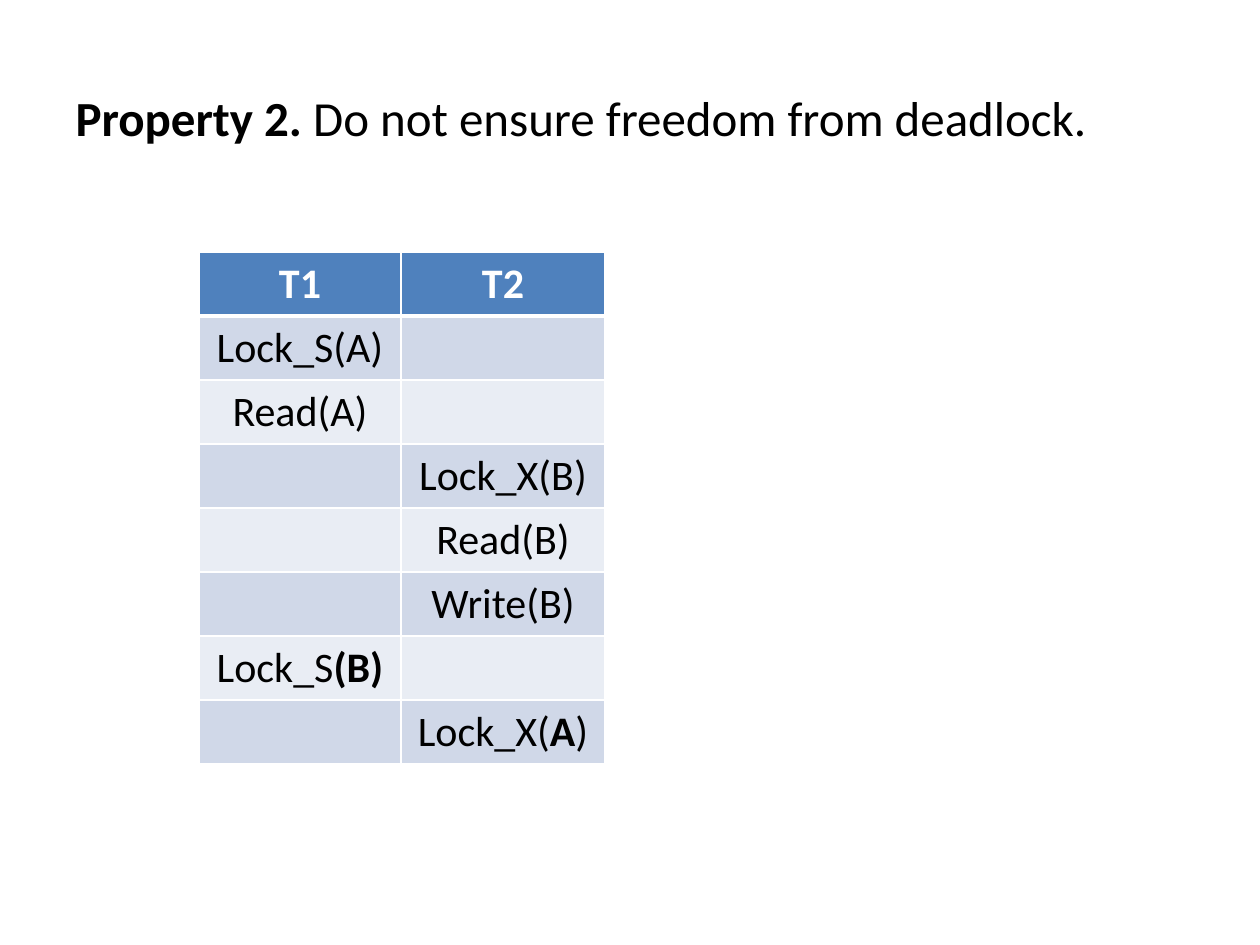
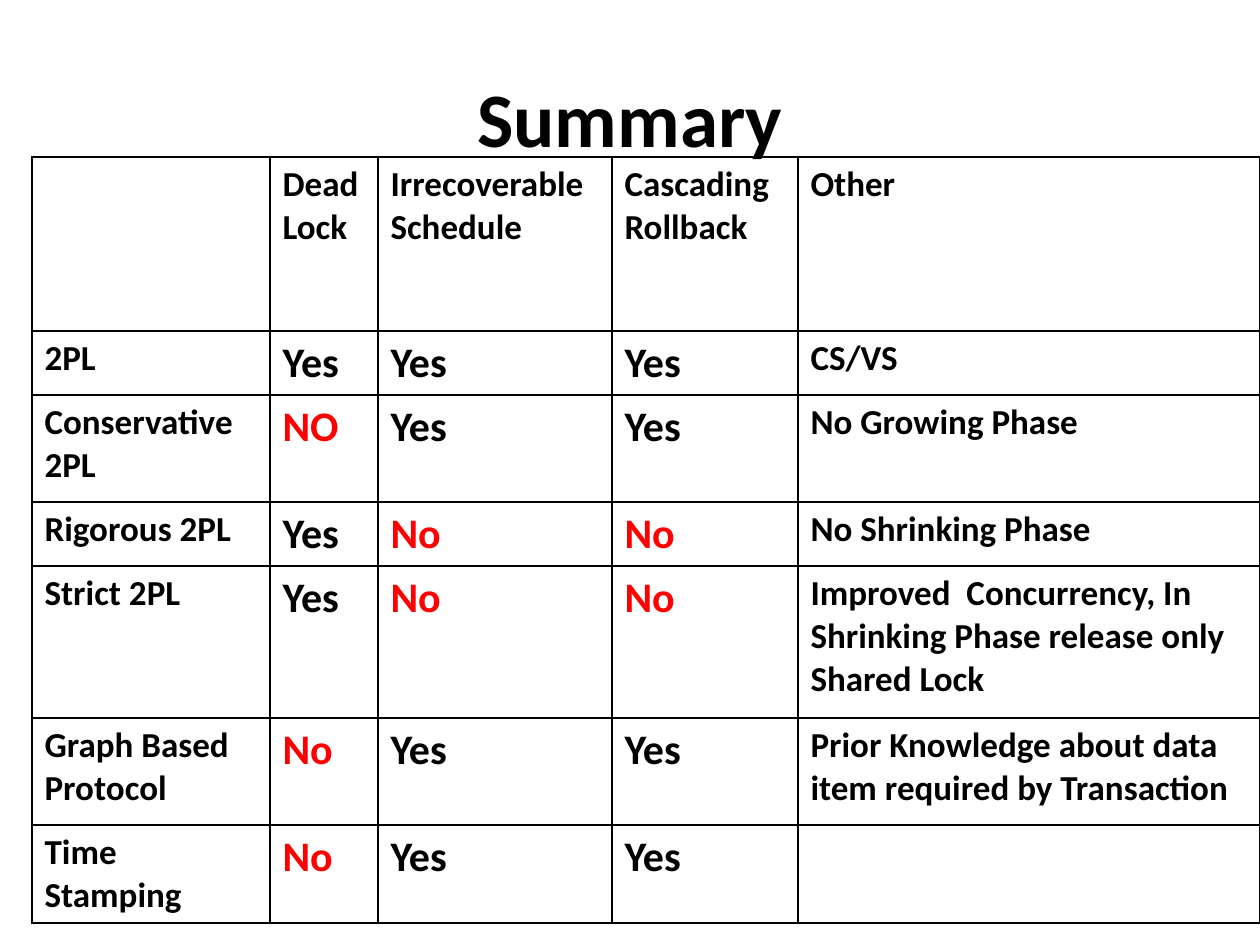
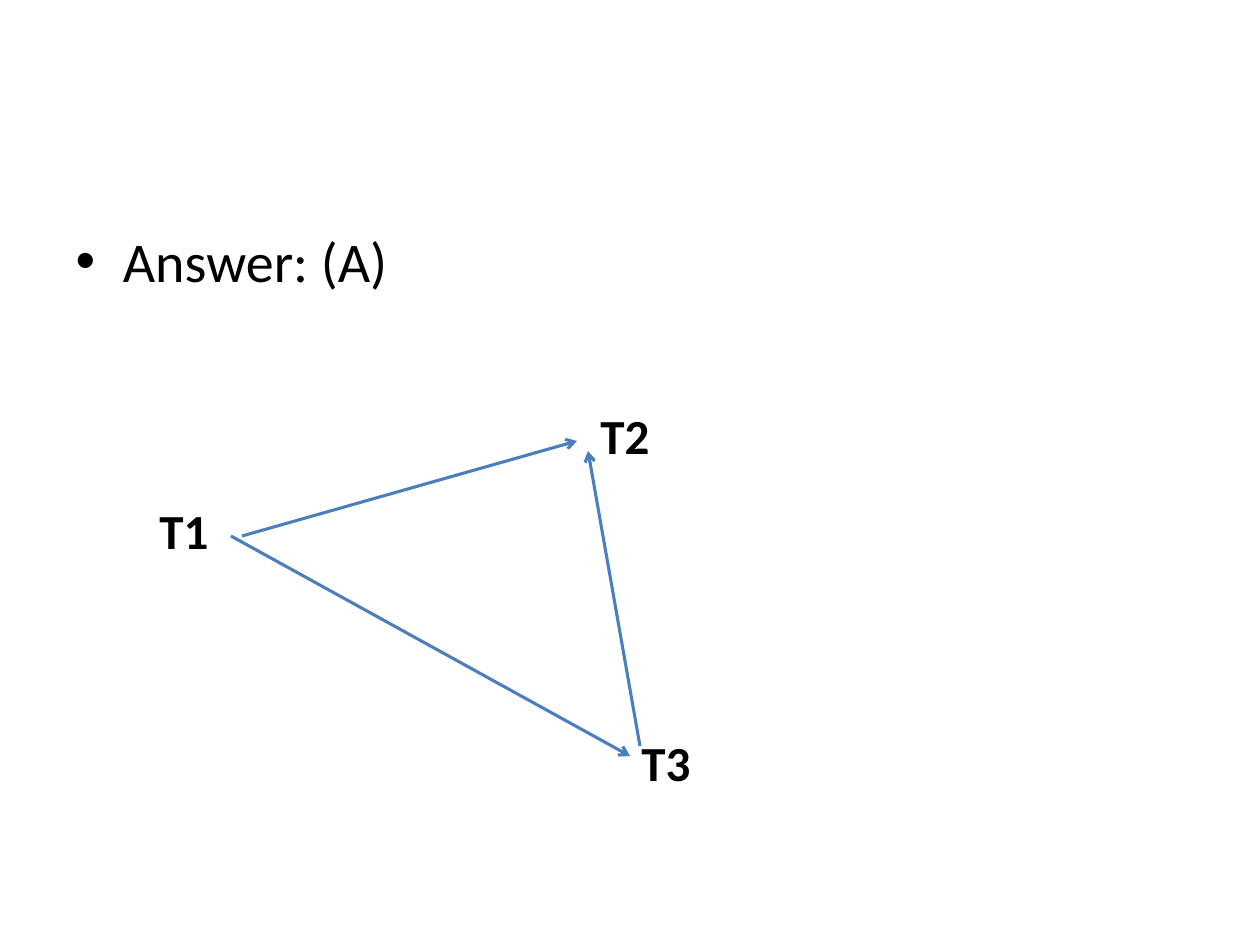
from dataclasses import dataclass
from lxml.etree import SubElement
from pptx import Presentation
from pptx.dml.color import RGBColor
from pptx.enum.shapes import MSO_CONNECTOR
from pptx.enum.text import MSO_ANCHOR, MSO_AUTO_SIZE, PP_ALIGN
from pptx.oxml import parse_xml
from pptx.oxml.ns import nsdecls, qn
from pptx.util import Emu, Pt


@dataclass(frozen=True)
class Theme:
    font: str = "Calibri"
    ink: str = "000000"
    paper: str = "FFFFFF"
    head: str = "4F81BD"
    bands: tuple = ("D0D8E8", "E9EDF4")
    alert: str = "FF0000"
    edge: str = "4B7EBC"
    title: int = 44
    body: int = 32
    label: int = 28
    cell: int = 24
    note: int = 20


THEME = Theme()
TITLE_BOX = (63, 38, 1134, 158)
BODY_BOX = (63, 220, 1134, 624)


def px(n):
    return Emu(round(n * 914400 / 126))


def place(shape, box):
    shape.left, shape.top, shape.width, shape.height = map(px, box)


def write(frame, text, size, color=THEME.ink, bold=False, align=None):
    """Fill the first paragraph; parts between asterisks are bold."""
    para = frame.paragraphs[0]
    para.alignment = align
    for i, part in enumerate(text.split("*")):
        if not part:
            continue
        run = para.add_run()
        run.text = part
        font = run.font
        font.name, font.size = THEME.font, Pt(size)
        font.bold = bold or i % 2 == 1
        font.color.rgb = RGBColor.from_string(color)


def add_title(deck, text, size, align):
    slide = deck.slides.add_slide(deck.slide_layouts[5])
    title = slide.shapes.title
    place(title, TITLE_BOX)
    title.text_frame.vertical_anchor = MSO_ANCHOR.MIDDLE
    write(title.text_frame, text, size, align=align)
    return slide


def add_grid(slide, left, top, cols, rows):
    box = map(px, (left, top, sum(cols), sum(rows)))
    table = slide.shapes.add_table(len(rows), len(cols), *box).table
    table.first_row = table.horz_banding = False
    for col, width in zip(table.columns, cols):
        col.width = px(width)
    for row, height in zip(table.rows, rows):
        row.height = px(height)
    return table


def rule(cell, color, top=1, bottom=1):
    """Draw the four borders, with widths in points."""
    props = cell._tc.get_or_add_tcPr()
    for i, (side, width) in enumerate(zip("LRTB", (1, 1, top, bottom))):
        props.insert(i, parse_xml(
            f'<a:ln{side} {nsdecls("a")} w="{Pt(width)}"><a:solidFill>'
            f'<a:srgbClr val="{color}"/></a:solidFill></a:ln{side}>'))


def add_locks(slide, left, top, data):
    table = add_grid(slide, left, top, (202, 204), [64] * len(data))
    for r, line in enumerate(data):
        fill = THEME.bands[(r - 1) % 2] if r else THEME.head
        color = THEME.ink if r else THEME.paper
        for c, text in enumerate(line):
            cell = table.cell(r, c)
            cell.fill.solid()
            cell.fill.fore_color.rgb = RGBColor.from_string(fill)
            rule(cell, THEME.paper, 3 if r == 1 else 1, 1 if r else 3)
            write(cell.text_frame, text, THEME.cell, color, r == 0, PP_ALIGN.CENTER)


def add_summary(slide, left, top, data):
    cols = (238, 108, 234, 186, 462)
    rows = (174, 64, 107, 64, 152, 107, 98)
    table = add_grid(slide, left, top, cols, rows)
    for r, line in enumerate(data):
        for c, text in enumerate(line):
            cell = table.cell(r, c)
            cell.fill.background()
            rule(cell, THEME.ink)
            word = text.lower()
            size = THEME.cell if word in ("yes", "no") else THEME.note
            color = THEME.alert if word == "no" else THEME.ink
            write(cell.text_frame, text, size, color, True)


def add_arrow(slide, start, end):
    line = slide.shapes.add_connector(
        MSO_CONNECTOR.STRAIGHT, *map(px, (*start, *end)))
    line.line.color.rgb = RGBColor.from_string(THEME.edge)
    line.line.width = Pt(1.75)
    SubElement(line.line._get_or_add_ln(), qn("a:tailEnd"), type="arrow")
    SubElement(line._element.spPr, qn("a:effectLst"))


def add_graph(slide, left, top, nodes, edges):
    def shift(spot):
        return left + spot[0], top + spot[1]

    for start, end in edges:
        add_arrow(slide, shift(start), shift(end))
    for name, spot in nodes.items():
        box = slide.shapes.add_textbox(*map(px, (*shift(spot), 76, 72)))
        box.text_frame.word_wrap = False
        box.text_frame.auto_size = MSO_AUTO_SIZE.SHAPE_TO_FIT_TEXT
        write(box.text_frame, name, THEME.label, bold=True)


def add_answer(deck, text):
    slide = deck.slides.add_slide(deck.slide_layouts[1])
    title = slide.shapes.title._element
    title.getparent().remove(title)
    body = slide.placeholders[1]
    place(body, BODY_BOX)
    write(body.text_frame, text, THEME.body)
    return slide


LOCKS = (
    ("T1", "T2"),
    ("Lock_S(A)", ""),
    ("Read(A)", ""),
    ("", "Lock_X(B)"),
    ("", "Read(B)"),
    ("", "Write(B)"),
    ("Lock_S*(B)*", ""),
    ("", "Lock_X(*A*)"),
)
SUMMARY = (
    ("", "Dead Lock", "Irrecoverable Schedule", "Cascading Rollback", "Other"),
    ("2PL", "Yes", "Yes", "Yes", "CS/VS"),
    ("Conservative 2PL", "NO", "Yes", "Yes", "No Growing Phase"),
    ("Rigorous 2PL", "Yes", "No", "No", "No Shrinking Phase"),
    ("Strict 2PL", "Yes", "No", "No",
     "Improved  Concurrency, In Shrinking Phase release only Shared Lock"),
    ("Graph Based Protocol", "No", "Yes", "Yes",
     "Prior Knowledge about data item required by Transaction"),
    ("Time Stamping", "No", "Yes", "Yes", ""),
)
NODES = {"T2": (441, 0), "T3": (482, 327), "T1": (0, 95)}
EDGES = (
    ((95, 137), (430, 42)),
    ((84, 137), (483, 357)),
    ((493, 347), (441, 52)),
)


def main():
    deck = Presentation()
    deck.slide_width, deck.slide_height = px(1260), px(945)
    slide = add_title(deck, "*Property 2.* Do not ensure freedom from deadlock.",
                      THEME.label, PP_ALIGN.LEFT)
    add_locks(slide, 199, 252, LOCKS)
    slide = add_title(deck, "*Summary*", THEME.title, PP_ALIGN.CENTER)
    add_summary(slide, 32, 157, SUMMARY)
    slide = add_answer(deck, "Answer: (A)")
    add_graph(slide, 147, 399, NODES, EDGES)
    deck.save("out.pptx")


if __name__ == "__main__":
    main()
